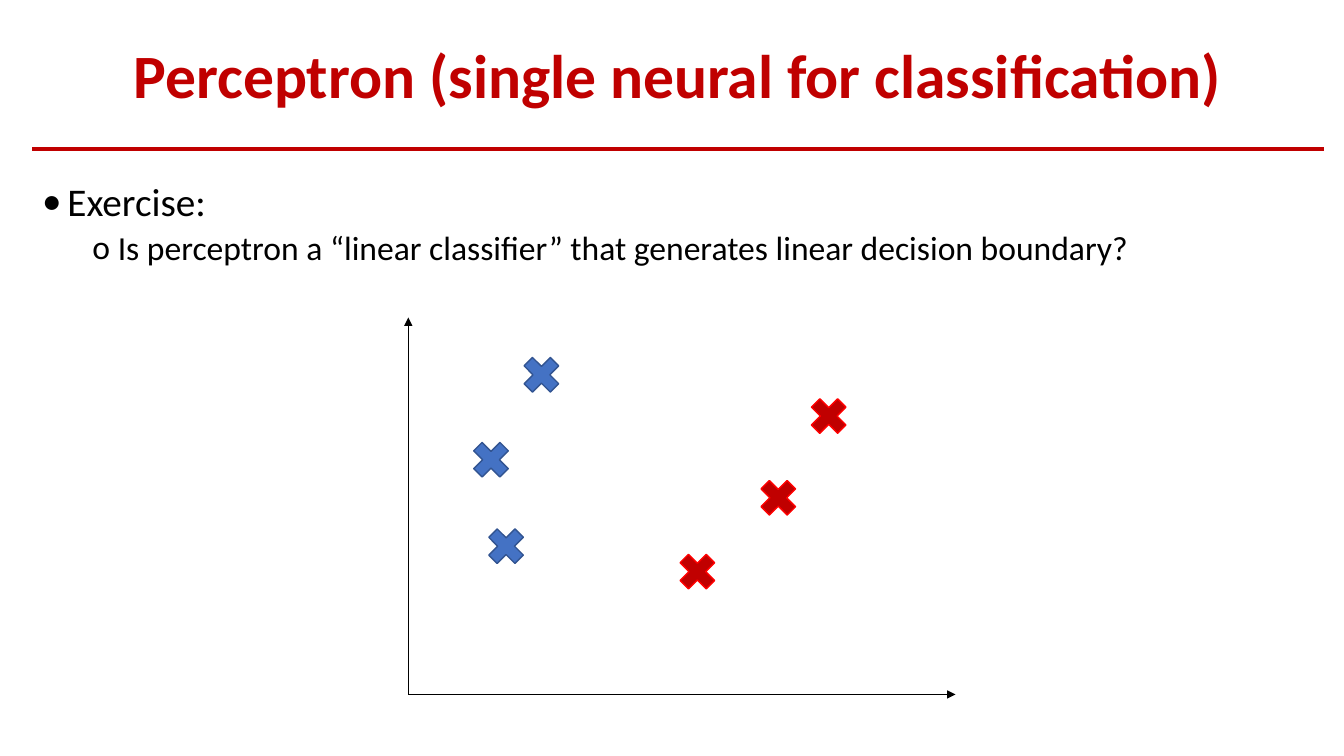
from lxml.etree import SubElement
from pptx import Presentation
from pptx.dml.color import RGBColor
from pptx.enum.shapes import MSO_CONNECTOR, MSO_SHAPE
from pptx.enum.text import MSO_ANCHOR, MSO_AUTO_SIZE, PP_ALIGN
from pptx.oxml.ns import qn
from pptx.util import Cm, Pt

FONT = "Calibri"
COLORS = {
    "title": "C00000",
    "text": "000000",
    "axis": "000000",
    "blue": "4472C4",
    "blue_edge": "325491",
    "red": "C00000",
    "red_edge": "FF0000",
}


def rgb(name):
    """Look up a palette colour."""
    return RGBColor.from_string(COLORS[name])


def add_run(p, text, size, color, bold=False):
    """Append a formatted run to a paragraph."""
    r = p.add_run()
    r.text = text
    r.font.name = FONT
    r.font.size = Pt(size)
    r.font.bold = bold
    r.font.color.rgb = rgb(color)


def add_line(s, x1, y1, x2, y2, color, width, arrow=False):
    """Draw a straight line, with an arrowhead at its end if asked."""
    line = s.shapes.add_connector(MSO_CONNECTOR.STRAIGHT, Cm(x1), Cm(y1), Cm(x2), Cm(y2))
    line.line.color.rgb = rgb(color)
    line.line.width = Pt(width)
    if arrow:
        SubElement(line.line._get_or_add_ln(), qn("a:tailEnd"), type="triangle")
    SubElement(line._element.spPr, qn("a:effectLst"))


def add_header(s, left, top, width, height):
    """Place the title and the rule below it."""
    title = s.shapes.title
    title.left, title.top, title.width, title.height = map(Cm, (left, top, width, height))
    tf = title.text_frame
    tf.word_wrap = True
    tf.auto_size = MSO_AUTO_SIZE.NONE
    tf.vertical_anchor = MSO_ANCHOR.MIDDLE
    p = tf.paragraphs[0]
    p.alignment = PP_ALIGN.CENTER
    p.line_spacing = 0.9
    add_run(p, "Perceptron (single neural for classification)", 44, "title", True)
    rule_y = top + height + 0.51
    add_line(s, left, rule_y, left + width, rule_y, "title", 2.5)


def add_bullets(s, left, top, width, height):
    """Place the exercise as a two-level bullet list."""
    items = [
        (0, "•", 28, "Exercise:"),
        (1, "o", 24, "Is perceptron a “linear classifier” that generates linear decision boundary?"),
    ]
    tf = s.shapes.add_textbox(Cm(left), Cm(top), Cm(width), Cm(height)).text_frame
    tf.word_wrap = True
    for level, bullet, size, text in items:
        p = tf.add_paragraph() if level else tf.paragraphs[0]
        p.level = level
        p.line_spacing = 0.9
        if level:
            p.space_before = Pt(5)
        pPr = p._p.get_or_add_pPr()
        pPr.set("marL", str(Cm(0.64 + 1.27 * level)))
        pPr.set("indent", str(-Cm(0.64)))
        SubElement(pPr, qn("a:buFont"), typeface=FONT)
        SubElement(pPr, qn("a:buChar"), char=bullet)
        add_run(p, text, size, "text")


def add_scatter(s, left, top, width, height):
    """Draw the axes and the two classes of points."""
    bottom = top + height
    add_line(s, left, bottom, left + width, bottom, "axis", 1, True)
    add_line(s, left, bottom, left, top, "axis", 1, True)
    classes = {
        "blue": [(2.72, 0.81), (1.45, 2.95), (1.83, 5.13)],
        "red": [(9.96, 1.85), (8.69, 3.91), (6.65, 5.77)],
    }
    for color, points in classes.items():
        for x, y in points:
            sp = s.shapes.add_shape(
                MSO_SHAPE.MATH_MULTIPLY, Cm(left + x), Cm(top + y), Cm(1.27), Cm(1.27)
            )
            sp.shadow.inherit = False
            sp.fill.solid()
            sp.fill.fore_color.rgb = rgb(color)
            sp.line.color.rgb = rgb(color + "_edge")
            sp.line.width = Pt(1)


def main():
    """Build and save the slide."""
    prs = Presentation()
    prs.slide_width, prs.slide_height = Cm(33.87), Cm(19.05)
    s = prs.slides.add_slide(prs.slide_layouts[5])
    add_header(s, 0.81, 0.71, 32.56, 2.54)
    add_bullets(s, 0.81, 4.47, 32.56, 12.67)
    add_scatter(s, 10.29, 8, 13.79, 9.5)
    prs.save("out.pptx")


if __name__ == "__main__":
    main()
